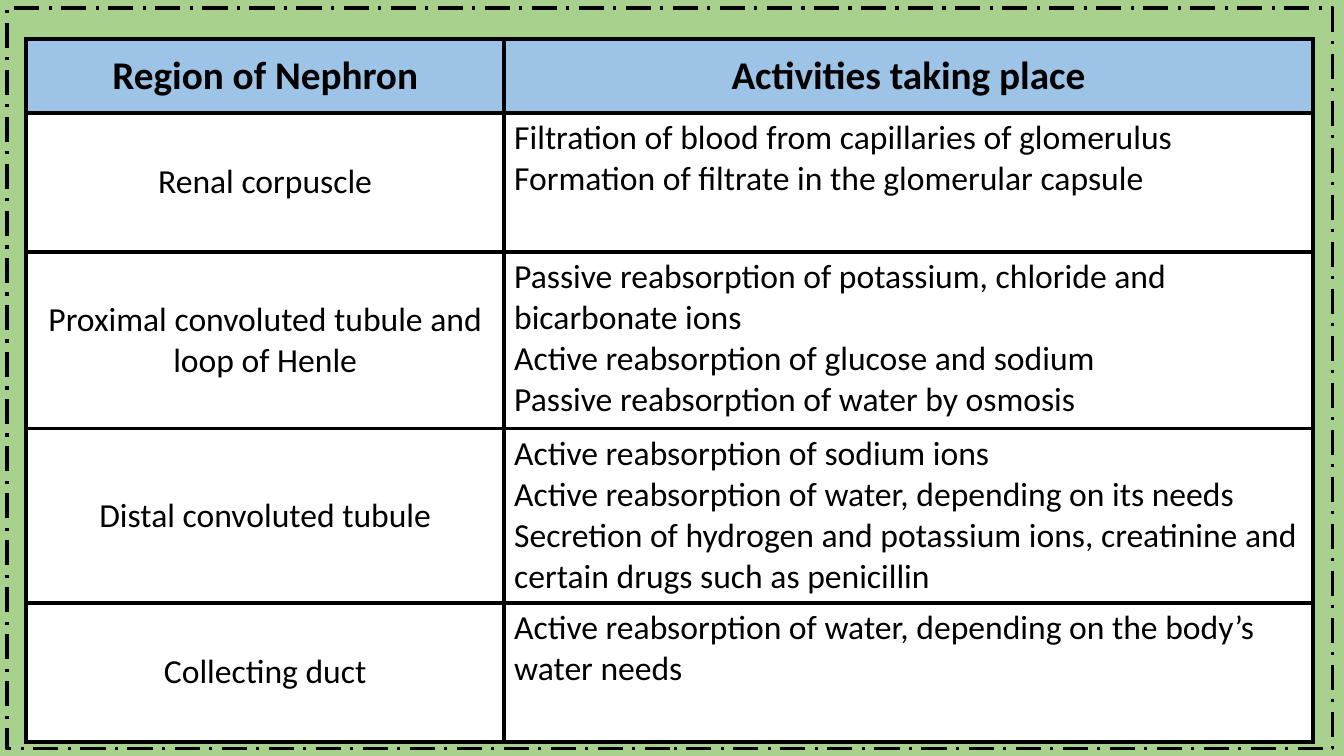
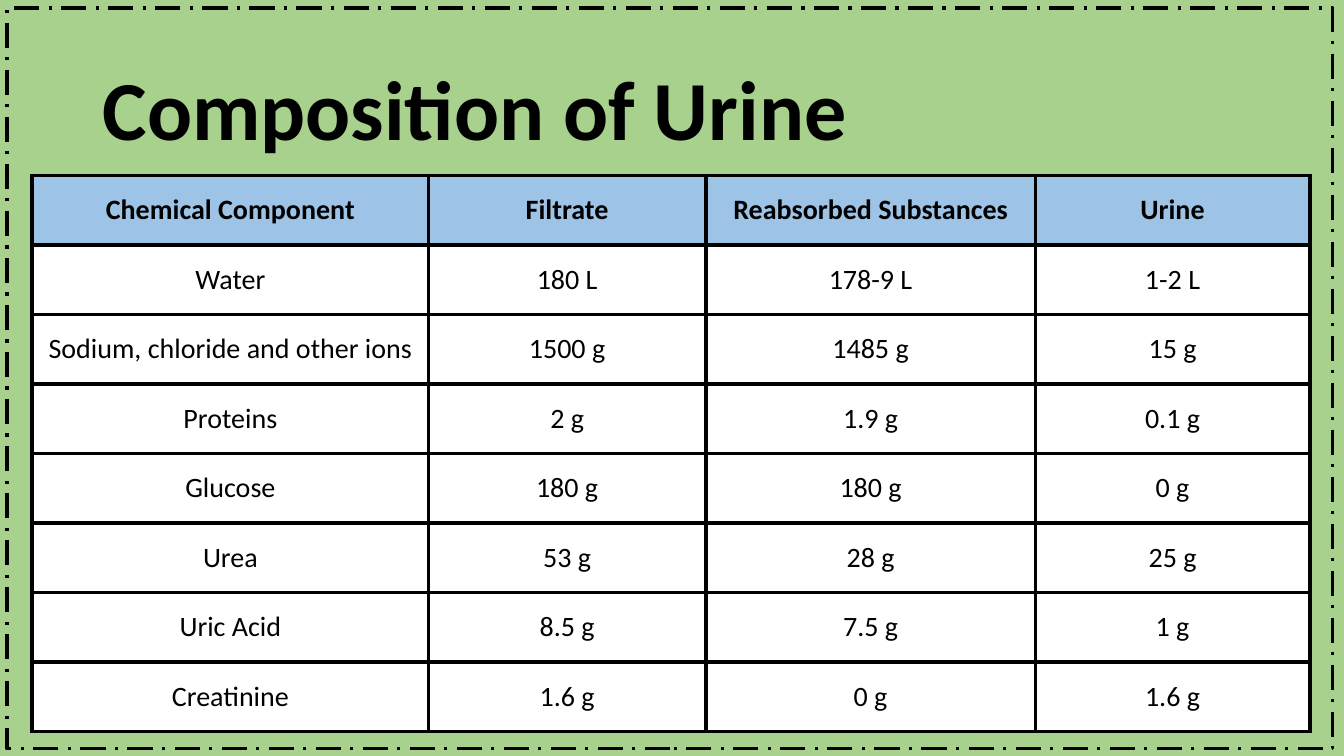
from dataclasses import dataclass

from lxml import etree
from pptx import Presentation
from pptx.dml.color import RGBColor
from pptx.enum.dml import MSO_LINE
from pptx.enum.shapes import MSO_SHAPE
from pptx.enum.text import MSO_ANCHOR, MSO_AUTO_SIZE, PP_ALIGN
from pptx.oxml.ns import qn
from pptx.util import Inches, Pt

BLACK = RGBColor(0x00, 0x00, 0x00)
WHITE = RGBColor(0xFF, 0xFF, 0xFF)
GREEN = RGBColor(0xA9, 0xD1, 0x8E)
BLUE = RGBColor(0x9D, 0xC3, 0xE6)
FONT = "Calibri"
LEFT, CENTER = PP_ALIGN.LEFT, PP_ALIGN.CENTER
TOP, MIDDLE = MSO_ANCHOR.TOP, MSO_ANCHOR.MIDDLE
NO_FIT = MSO_AUTO_SIZE.NONE
RECT = MSO_SHAPE.RECTANGLE
DASH = MSO_LINE.LONG_DASH_DOT
TITLE_ONLY, BLANK = 5, 6
BORDER_PT = 3


@dataclass(frozen=True)
class Grid:
    left: float
    top: float
    cols: list[float]
    rows: list[float]
    head_size: int
    body_size: int
    cells: list[list[str]]
    list_col: int | None = None


NEPHRON = Grid(
    0.26, 0.39, [4.74, 8.02], [0.73, 1.38, 1.75, 1.73, 1.38], 28, 24,
    [
        ["Region of Nephron", "Activities taking place"],
        ["Renal corpuscle",
         "Filtration of blood from capillaries of glomerulus\n"
         "Formation of filtrate in the glomerular capsule"],
        ["Proximal convoluted tubule and loop of Henle",
         "Passive reabsorption of potassium, chloride and bicarbonate ions\n"
         "Active reabsorption of glucose and sodium\n"
         "Passive reabsorption of water by osmosis"],
        ["Distal convoluted tubule",
         "Active reabsorption of sodium ions\n"
         "Active reabsorption of water, depending on its needs\n"
         "Secretion of hydrogen and potassium ions, creatinine and "
         "certain drugs such as penicillin"],
        ["Collecting duct",
         "Active reabsorption of water, depending on the body’s water needs"],
    ],
    list_col=1,
)

URINE = Grid(
    0.32, 1.74, [3.93, 2.75, 3.27, 2.72], [0.69] * 8, 20, 20,
    [
        ["Chemical Component", "Filtrate", "Reabsorbed Substances", "Urine"],
        ["Water", "180 L", "178-9 L", "1-2 L"],
        ["Sodium, chloride and other ions", "1500 g", "1485 g", "15 g"],
        ["Proteins", "2 g", "1.9 g", "0.1 g"],
        ["Glucose", "180 g", "180 g", "0 g"],
        ["Urea", "53 g", "28 g", "25 g"],
        ["Uric Acid", "8.5 g", "7.5 g", "1 g"],
        ["Creatinine", "1.6 g", "0 g", "1.6 g"],
    ],
)


def add_text(p, text: str, size: int, bold: bool, align) -> None:
    p.alignment = align
    r = p.add_run()
    r.text = text
    r.font.name = FONT
    r.font.size = Pt(size)
    r.font.bold = bold
    r.font.color.rgb = BLACK


def add_borders(cell) -> None:
    tc_pr = cell._tc.get_or_add_tcPr()
    for i, side in enumerate(("lnL", "lnR", "lnT", "lnB")):
        ln = etree.Element(qn(f"a:{side}"), w=str(Pt(BORDER_PT)))
        fill = etree.SubElement(ln, qn("a:solidFill"))
        etree.SubElement(fill, qn("a:srgbClr"), val=str(BLACK))
        tc_pr.insert(i, ln)


def fill_cell(cell, text: str, size: int, head: bool, is_list: bool) -> None:
    cell.fill.solid()
    cell.fill.fore_color.rgb = BLUE if head else WHITE
    cell.vertical_anchor = TOP if is_list else MIDDLE
    add_borders(cell)
    tf = cell.text_frame
    for i, line in enumerate(text.split("\n")):
        p = tf.add_paragraph() if i else tf.paragraphs[0]
        add_text(p, line, size, head, LEFT if is_list else CENTER)


def add_grid(slide, grid: Grid) -> None:
    table = slide.shapes.add_table(
        len(grid.rows), len(grid.cols), Inches(grid.left), Inches(grid.top),
        Inches(sum(grid.cols)), Inches(sum(grid.rows))).table
    table.horz_banding = False
    for col, width in zip(table.columns, grid.cols):
        col.width = Inches(width)
    for row, height in zip(table.rows, grid.rows):
        row.height = Inches(height)
    for i, texts in enumerate(grid.cells):
        head = i == 0
        size = grid.head_size if head else grid.body_size
        for j, text in enumerate(texts):
            fill_cell(table.cell(i, j), text, size, head,
                      not head and j == grid.list_col)


def add_title(slide, text: str) -> None:
    sp = slide.shapes.title
    sp.left, sp.top = Inches(0.92), Inches(0.4)
    sp.width, sp.height = Inches(11.5), Inches(1.45)
    tf = sp.text_frame
    tf.auto_size = NO_FIT
    tf.vertical_anchor = MIDDLE
    p = tf.paragraphs[0]
    p.line_spacing = 0.9
    add_text(p, text, 60, True, LEFT)


def add_frame(slide) -> None:
    sp = slide.shapes.add_shape(
        RECT, Inches(0.07), Inches(0.08), Inches(13.15), Inches(7.35))
    sp.shadow.inherit = False
    sp.fill.background()
    sp.line.color.rgb = BLACK
    sp.line.width = Pt(2.25)
    sp.line.dash_style = DASH


def add_slide(prs, grid: Grid, title: str | None = None) -> None:
    slide = prs.slides.add_slide(prs.slide_layouts[TITLE_ONLY if title else BLANK])
    if title:
        add_title(slide, title)
    add_grid(slide, grid)
    add_frame(slide)


def main() -> None:
    prs = Presentation()
    prs.slide_width, prs.slide_height = Inches(13.33), Inches(7.5)
    bg = prs.slide_master.background.fill
    bg.solid()
    bg.fore_color.rgb = GREEN
    add_slide(prs, NEPHRON)
    add_slide(prs, URINE, "Composition of Urine")
    prs.save("out.pptx")


if __name__ == "__main__":
    main()
